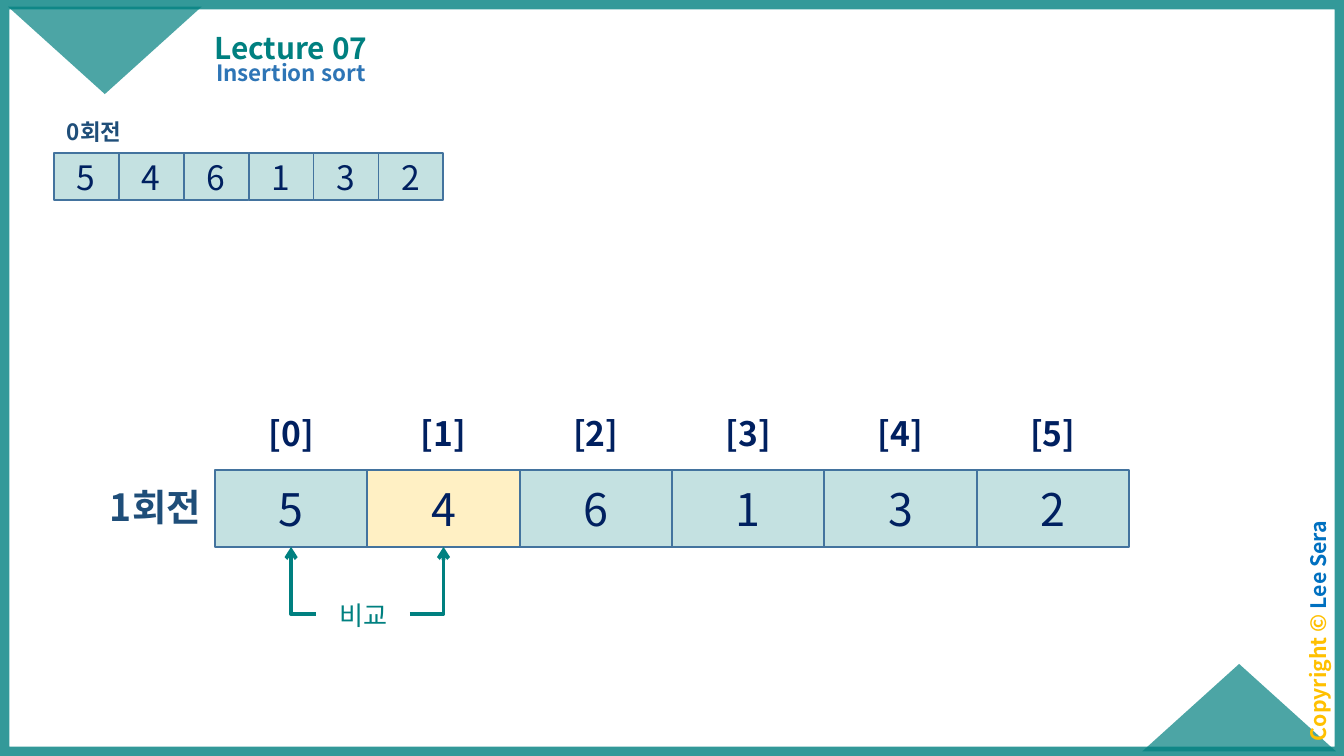
from lxml import etree
from pptx import Presentation
from pptx import util as u
from pptx.dml.color import RGBColor
from pptx.enum import shapes, text
from pptx.oxml import ns

FONT = "Noto Sans CJK KR"
TEAL, AMBER, NAVY, STEEL = "008080", "FFC000", "002060", "1F4E79"
WIDTH = 10
HEIGHT = WIDTH * 9 / 16
NUMBERS = [5, 4, 6, 1, 3, 2]

# left, top, total width, height, text size, highlighted position
SMALL_ROW = (0.4, 1.14, 2.9, 0.35, 18, None)
LARGE_ROW = (1.6, 3.5, 6.8, 0.57, 24, 1)
INDEX_TOP, INDEX_HEIGHT = 3.02, 0.4

# left, top, width, height, rotation
TRIANGLES = [(8.5, 4.94, 1.44, 0.65, 0), (0.06, 0.05, 1.44, 0.65, 180)]

# box, runs (text, colour), size, bold, options
LABELS = [
    ((8.92, 4.57, 1.86, 0.25), [("Copyright © ", AMBER), ("Lee Sera", "0070C0")], 11.4, True,
     dict(tight=True, spacing=0.7, before=10, rotation=270)),
    ((1.4, 0.06, 1.53, 0.47), [("Lecture 07", TEAL)], 16, True,
     dict(tight=True, spacing=0.9, anchor=text.MSO_ANCHOR.BOTTOM)),
    ((1.1, 0.42, 2.13, 0.34), [("Insertion sort", "2E75B6")], 12, True,
     dict(tight=True, spacing=0.9, before=7.5)),
    ((0.4, 0.83, 1.57, 0.3), [("0회전", STEEL)], 12, True, dict(align=text.PP_ALIGN.LEFT)),
    ((0.72, 3.55, 1.57, 0.44), [("1회전", STEEL)], 20, True, dict(align=text.PP_ALIGN.LEFT)),
    ((2.35, 4.41, 0.71, 0.34), [("비교", TEAL)], 14, False, {}),
]
# start of each comparison arrow, position of the cell it points at
ARROWS = [((2.35, 4.57), 0), ((3.05, 4.57), 1)]


def inches(values):
    return [u.Inches(value) for value in values]


def paint(fill, color, opacity=100):
    """Make a fill solid, with opacity in percent."""
    fill.solid()
    fill.fore_color.rgb = RGBColor.from_string(color)
    if opacity < 100:
        element = fill.fore_color._xFill.find(ns.qn("a:srgbClr"))
        etree.SubElement(element, ns.qn("a:alpha"), val=str(opacity * 1000))


def write(paragraph, runs, size, bold=False, align=text.PP_ALIGN.CENTER):
    paragraph.alignment = align
    for words, color in runs:
        run = paragraph.add_run()
        run.text = words
        run.font.size, run.font.bold, run.font.name = u.Pt(size), bold, FONT
        paint(run.font.fill, color)
        etree.SubElement(run.font._element, ns.qn("a:ea"), typeface=FONT)


def add_text(slide, box, runs, size, bold, align=text.PP_ALIGN.CENTER, tight=False,
             spacing=None, before=None, anchor=text.MSO_ANCHOR.TOP, rotation=0):
    shape = slide.shapes.add_textbox(*inches(box))
    shape.rotation = rotation
    frame = shape.text_frame
    frame.word_wrap, frame.vertical_anchor = True, anchor
    if tight:
        frame.margin_left = frame.margin_right = u.Inches(0.07)
        frame.margin_top = frame.margin_bottom = u.Inches(0.04)
    paragraph = frame.paragraphs[0]
    if spacing:
        paragraph.line_spacing = spacing
    if before:
        paragraph.space_before = u.Pt(before)
    write(paragraph, runs, size, bold, align)


def add_shape(slide, kind, box, fill=None, opacity=100, line=None, line_width=1, line_opacity=100):
    shape = slide.shapes.add_shape(kind, *inches(box))
    shape.shadow.inherit = False
    if fill:
        paint(shape.fill, fill, opacity)
    else:
        shape.fill.background()
    if line:
        shape.line.width = u.Pt(line_width)
        paint(shape.line.fill, line, line_opacity)
    else:
        shape.line.fill.background()
    return shape


def add_row(slide, left, top, width, height, size, highlighted):
    """Draw the numbers as equal cells and return the cells."""
    cells = []
    step = width / len(NUMBERS)
    for position, number in enumerate(NUMBERS):
        fill = AMBER if position == highlighted else TEAL
        cell = add_shape(slide, shapes.MSO_SHAPE.RECTANGLE,
                         (left + position * step, top, step, height), fill, 23, "43739E")
        cell.text_frame.vertical_anchor = text.MSO_ANCHOR.MIDDLE
        write(cell.text_frame.paragraphs[0], [(str(number), NAVY)], size)
        cells.append(cell)
    return cells


def add_arrow(slide, start, cell):
    """Draw a one-bend arrow from start to the bottom of the cell."""
    arrow = slide.shapes.add_connector(
        shapes.MSO_CONNECTOR.ELBOW, *inches(start),
        cell.left + cell.width // 2, cell.top + cell.height)
    arrow.end_connect(cell, 2)
    arrow.line.width = u.Pt(2)
    paint(arrow.line.fill, TEAL)
    properties = arrow._element.spPr
    properties.find(ns.qn("a:prstGeom")).set("prst", "bentConnector2")
    etree.SubElement(properties.find(ns.qn("a:ln")), ns.qn("a:tailEnd"), type="arrow")
    etree.SubElement(properties, ns.qn("a:effectLst"))


def main():
    presentation = Presentation()
    presentation.slide_width, presentation.slide_height = inches((WIDTH, HEIGHT))
    slide = presentation.slides.add_slide(presentation.slide_layouts[6])

    add_shape(slide, shapes.MSO_SHAPE.RECTANGLE, (0, 0, WIDTH, HEIGHT),
              line=TEAL, line_width=10, line_opacity=80)
    for *box, rotation in TRIANGLES:
        triangle = add_shape(slide, shapes.MSO_SHAPE.ISOSCELES_TRIANGLE, box, TEAL, 70)
        triangle.rotation = rotation

    add_row(slide, *SMALL_ROW)
    cells = add_row(slide, *LARGE_ROW)
    left, _, width, *_ = LARGE_ROW
    step = width / len(NUMBERS)
    for position in range(len(NUMBERS)):
        add_text(slide, (left + position * step, INDEX_TOP, step, INDEX_HEIGHT),
                 [(f"[{position}]", NAVY)], 18, True)

    for box, runs, size, bold, options in LABELS:
        add_text(slide, box, runs, size, bold, **options)
    for start, position in ARROWS:
        add_arrow(slide, start, cells[position])

    presentation.save("out.pptx")


if __name__ == "__main__":
    main()
